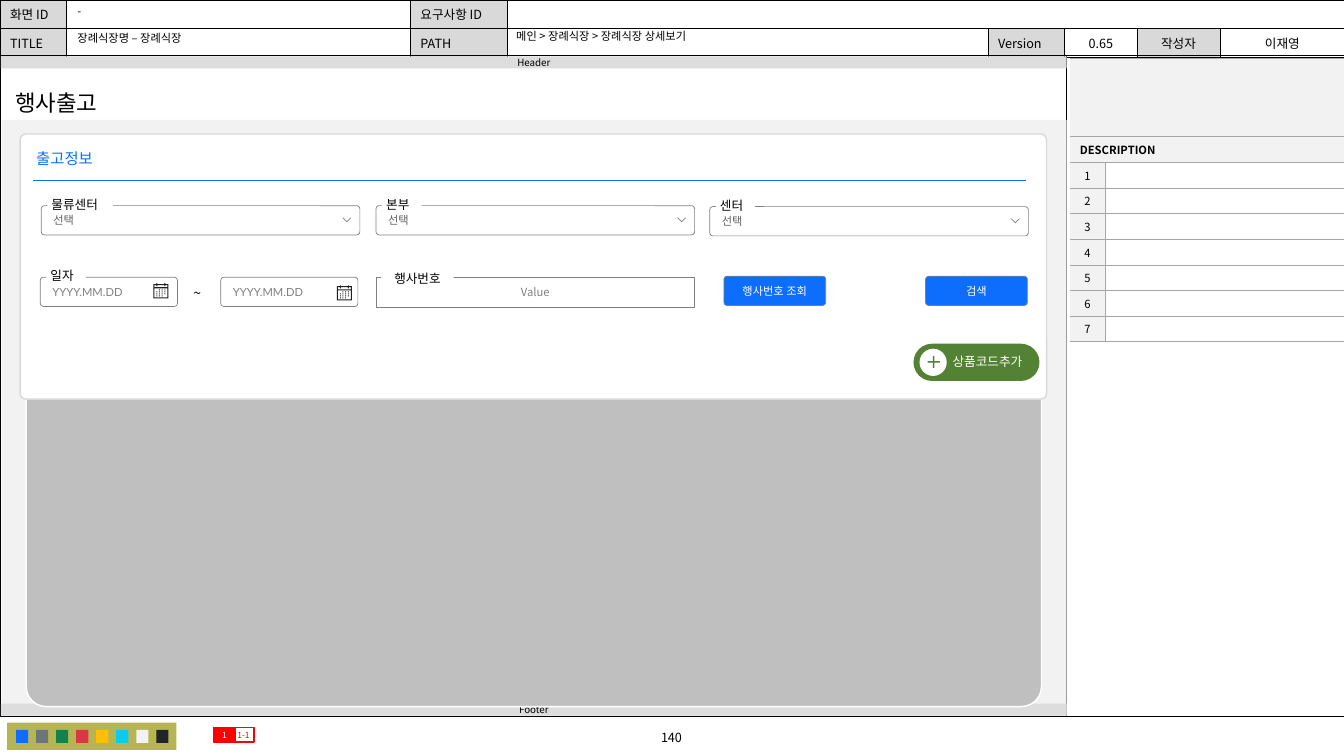
from dataclasses import dataclass

from lxml import etree
from pptx import Presentation
from pptx.dml.color import RGBColor
from pptx.enum.shapes import MSO_CONNECTOR, MSO_SHAPE
from pptx.enum.text import MSO_ANCHOR, MSO_AUTO_SIZE, PP_ALIGN
from pptx.oxml.ns import qn
from pptx.util import Inches, Pt

RECT, ROUND, OVAL = MSO_SHAPE.RECTANGLE, MSO_SHAPE.ROUNDED_RECTANGLE, MSO_SHAPE.OVAL
LEFT, CENTER = PP_ALIGN.LEFT, PP_ALIGN.CENTER
TOP, MIDDLE = MSO_ANCHOR.TOP, MSO_ANCHOR.MIDDLE
GROW, FIXED = MSO_AUTO_SIZE.SHAPE_TO_FIT_TEXT, MSO_AUTO_SIZE.NONE


@dataclass(frozen=True)
class Theme:
    font: str = "Noto Sans CJK KR"
    field_font: str = "Lato"
    black: str = "000000"
    white: str = "FFFFFF"
    blue: str = "0D6EFD"
    green: str = "548235"
    red: str = "FF0000"
    olive: str = "B7B553"
    icon: str = "1F1F1F"
    choice: str = "5F5F5F"
    outline: str = "808080"
    rule: str = "A6A6A6"
    content: str = "BFBFBF"
    head: str = "D9D9D9"
    bar: str = "DDDDDD"
    page: str = "F2F2F2"
    swatches: tuple = ("0D6EFD", "6C757D", "10834E", "DC3545",
                       "FFBE00", "0DCAF0", "F2F2F2", "212529")
    title: int = 16
    section: int = 11
    label: int = 9
    small: int = 8
    bar_text: int = 7
    tag: int = 6


T = Theme()
INSETS = (0.1, 0.05, 0.1, 0.05)


# Basic parts
def write(tf, text, size, color=T.black, font=T.font, align=LEFT, bold=False):
    p = tf.paragraphs[0]
    p.alignment = align
    r = p.add_run()
    r.text = text
    r.font.size, r.font.bold, r.font.name = Pt(size), bold, font
    r.font.color.rgb = RGBColor.from_string(color)
    etree.SubElement(r.font._element, qn("a:ea"), typeface=T.font)
    return p


def frame(tf, anchor=TOP, insets=INSETS, wrap=True, grow=False):
    tf.margin_left, tf.margin_top, tf.margin_right, tf.margin_bottom = map(Inches, insets)
    tf.vertical_anchor, tf.word_wrap = anchor, wrap
    tf.auto_size = GROW if grow else FIXED
    return tf


def paint(sp, fill=None, line=None, width=0.5):
    sp.shadow.inherit = False
    if fill:
        sp.fill.solid()
        sp.fill.fore_color.rgb = RGBColor.from_string(fill)
    else:
        sp.fill.background()
    if line:
        sp.line.color.rgb = RGBColor.from_string(line)
        sp.line.width = Pt(width)
    else:
        sp.line.fill.background()
    return sp


def shape(s, kind, box, fill=None, line=None, width=0.5, adj=None):
    sp = s.shapes.add_shape(kind, *map(Inches, box))
    if adj is not None:
        sp.adjustments[0] = adj
    return paint(sp, fill, line, width)


def textbox(s, box, text, size, color=T.black, align=LEFT, wrap=True):
    sp = s.shapes.add_textbox(*map(Inches, box))
    return write(frame(sp.text_frame, wrap=wrap), text, size, color, align=align)


def placeholder(s, idx, box, text, size, wrap=True):
    sp = s.placeholders[idx]
    sp.left, sp.top, sp.width, sp.height = map(Inches, box)
    sp.element.getparent().append(sp.element)  # bring to front
    p = sp.text_frame.paragraphs[0]
    pPr = p._p.get_or_add_pPr()
    pPr.set("marL", "0")
    pPr.set("indent", "0")
    etree.SubElement(pPr, qn("a:buNone"))
    write(frame(sp.text_frame, wrap=wrap), text, size)
    p.space_before = Pt(0)
    return p


def line(s, x1, y1, x2, y2, color):
    c = s.shapes.add_connector(MSO_CONNECTOR.STRAIGHT, *map(Inches, (x1, y1, x2, y2)))
    c.line.color.rgb = RGBColor.from_string(color)
    c.line.width = Pt(0.5)
    etree.SubElement(c.element.spPr, qn("a:effectLst"))


def outline(s, x, y, contours, fill=None, stroke=None):
    """Draw contours given in thousandths of an inch from x, y."""
    fb = s.shapes.build_freeform(*contours[0][0], scale=Inches(1) / 1000)
    for i, pts in enumerate(contours):
        if i:
            fb.move_to(*pts[0])
        fb.add_line_segments(pts[1:], close=fill is not None)
    paint(fb.convert_to_shape(Inches(x), Inches(y)), fill, stroke)


def cell_style(cell, color, sides, fill=None):
    tcPr = cell._tc.get_or_add_tcPr()
    for side in "LRTB":
        ln = etree.SubElement(tcPr, qn("a:ln" + side), w=str(Pt(0.5)))
        if side in sides:
            solid = etree.SubElement(ln, qn("a:solidFill"))
            etree.SubElement(solid, qn("a:srgbClr"), val=color)
        else:
            etree.SubElement(ln, qn("a:noFill"))
    if fill:
        cell.fill.solid()
        cell.fill.fore_color.rgb = RGBColor.from_string(fill)
    else:
        cell.fill.background()
    cell.vertical_anchor = MIDDLE


def cell_text(cell, text, size, align=LEFT, bold=False, insets=INSETS):
    cell.margin_left, cell.margin_top, cell.margin_right, cell.margin_bottom = map(Inches, insets)
    if text:
        write(cell.text_frame, text, size, align=align, bold=bold)
    else:
        etree.SubElement(cell.text_frame.paragraphs[0]._p, qn("a:endParaRPr"), sz=str(size * 100))


def table(s, x, y, cols, rows):
    t = s.shapes.add_table(len(rows), len(cols), *map(Inches, (x, y, sum(cols), sum(rows)))).table
    t.first_row = t.horz_banding = False
    for parts, sizes, name in ((t.columns, cols, "width"), (t.rows, rows, "height")):
        for part, size in zip(parts, sizes):
            setattr(part, name, Inches(size))
    return t


# Regions
def info_table(s, x, y):
    rows = (("화면 ID", "", "요구사항 ID", "", "", "", "", ""),
            ("TITLE", "", "PATH", "", "Version", "0.65", "작성자", "이재영"))
    t = table(s, x, y, (0.66, 3.41, 0.96, 4.77, 0.76, 0.72, 0.82, 1.24), (0.28, 0.28))
    for i, row in enumerate(rows):
        for j, text in enumerate(row):
            shaded = text and j in (0, 2, 4, 6)
            cell_style(t.cell(i, j), T.black, "LRTB", T.head if shaded else T.white)
            cell_text(t.cell(i, j), text, T.label, CENTER if j > 4 else LEFT)
    t.cell(0, 3).merge(t.cell(0, 7))


def description_table(s, x, y):
    t = table(s, x, y, (0.35, 2.37), [0.77, 0.26] + [1.78 / 7] * 7)
    for i in range(9):
        for j in range(2):
            head = i < 2
            sides = "TB" if head else "TBR" if j == 0 else "TBL"
            cell_style(t.cell(i, j), T.rule, sides, T.page if head or j == 0 else None)
            text = "" if j or i == 0 else "DESCRIPTION" if head else str(i - 1)
            cell_text(t.cell(i, j), text, T.small, LEFT if head else CENTER, head,
                      INSETS if head else (0, 0, 0, 0))
    for i in range(2):
        t.cell(i, 0).merge(t.cell(i, 1))


def page_frame(s, x, y, w, h):
    shape(s, RECT, (x, y, w, h), line=T.black, width=0.25)
    line(s, x + 10.58, y + 0.01, x + 10.58, y + h, T.black)
    shape(s, RECT, (x + 0.02, y + 0.64, 10.56, 5.91), T.page)
    for text, top in (("Footer", 6.43), ("Header", 0.01)):
        sp = shape(s, RECT, (x + 0.01, y + top, 10.57, 0.12), T.bar)
        write(frame(sp.text_frame, MIDDLE), text, T.bar_text, align=CENTER)


def bottom_strip(s, x, y):
    textbox(s, (x + 5.3, y + 0.02, 2.58, 0.25), "140", T.label, align=CENTER)
    shape(s, RECT, (x, y, 1.68, 0.27), T.olive)
    for i, color in enumerate(T.swatches):
        shape(s, RECT, (x + 0.09 + i * 1.39 / 7, y + 0.07, 0.12, 0.13), color)
    for text, left, fill, color in (("1-1", 2.24, None, T.red), ("1", 2.05, T.red, T.white)):
        sp = shape(s, RECT, (x + left, y + 0.05, 0.21, 0.14), fill, T.red, 1)
        write(frame(sp.text_frame, MIDDLE, (0, 0, 0, 0)), text, T.tag, color, align=CENTER)


def field(s, x, y, w, text, color, fill=T.white, align=LEFT):
    sp = shape(s, ROUND, (x, y, w, 0.29), fill, T.outline, adj=0.108)
    tf = frame(sp.text_frame, MIDDLE, (0.11, 0.07, 0.11, 0.07))
    write(tf, text, T.small, color, T.field_font, align)


def field_label(s, x, y, w, text):
    sp = shape(s, RECT, (x, y, w, 0.15), T.white)
    write(frame(sp.text_frame, insets=(0.04, 0, 0.1, 0), wrap=False, grow=True), text, T.label)


def dropdown(s, x, y, label, label_w):
    field(s, x, y, 3.16, "선택", T.choice)
    outline(s, x + 2.99, y + 0.12, [[(80, 0), (40, 40), (0, 0)]], stroke=T.outline)
    field_label(s, x + 0.06, y - 0.09, label_w, label)


def rectangle(x1, y1, x2, y2):
    return [(x1, y1), (x2, y1), (x2, y2), (x1, y2)]


def calendar(s, x, y):
    body = [(120, 10), (150, 10), (150, 150), (0, 150), (0, 10), (30, 10),
            (30, 0), (40, 0), (40, 10), (110, 10), (110, 0), (120, 0)]
    top = [(30, 20), (10, 20), (10, 40), (140, 40), (140, 20), (120, 20),
           (120, 30), (110, 30), (110, 20), (40, 20), (40, 30), (30, 30)]
    days = [rectangle(dx, dy, dx + 10, dy + 10)
            for dy in (60, 80, 100, 120) for dx in (30, 55, 82, 110)]
    # the first and last day stay empty
    outline(s, x, y, [body, top, rectangle(10, 50, 140, 140)] + days[1:-1], T.icon)


def date_range(s, x, y):
    for left, icon_left, icon_top in ((0, 1.12, 0.06), (1.79, 2.94, 0.08)):
        field(s, x + left, y, 1.36, "YYYY.MM.DD", T.outline)
        calendar(s, x + icon_left, y + icon_top)
    textbox(s, (x + 1.42, y + 0.02, 0.29, 0.27), "~", 10, wrap=False)
    field_label(s, x + 0.06, y - 0.09, 0.39, "일자")


def event_number(s, x, y):
    sp = shape(s, RECT, (x, y, 3.16, 0.3), T.white, T.outline)
    write(frame(sp.text_frame, MIDDLE), "Value", T.small, T.outline, align=CENTER)
    sp = shape(s, RECT, (x + 0.05, y - 0.06, 0.72, 0.15), T.white)
    write(frame(sp.text_frame, insets=(0, 0, 0, 0), grow=True), "행사번호", T.label, align=CENTER)


def add_button(s, x, y):
    shape(s, ROUND, (x, y, 1.25, 0.37), T.green, adj=0.5)
    shape(s, OVAL, (x + 0.06, y + 0.05, 0.27, 0.27), T.white)
    a, b, c = 53, 68, 121
    plus = [(a, 0), (a, a), (0, a), (0, b), (a, b), (a, c),
            (b, c), (b, b), (c, b), (c, a), (b, a), (b, 0)]
    outline(s, x + 0.14, y + 0.12, [plus], T.green)
    textbox(s, (x + 0.29, y + 0.05, 0.96, 0.25), "상품코드추가", T.label, T.white, wrap=False)


def release_card(s, x, y, w, h):
    shape(s, ROUND, (x, y, w, h), T.white, T.head, 1, 0.021)
    textbox(s, (x + 0.06, y + 0.1, 0.82, 0.29), "출고정보", T.section, T.blue, wrap=False)
    line(s, x + 0.13, y + 0.46, x + 9.98, y + 0.46, T.blue)
    for text, left in (("행사번호 조회", 6.98), ("검색", 8.98)):
        field(s, x + left, y + 1.41, 1.01, text, T.white, T.blue, CENTER)
    add_button(s, x + 8.86, y + 2.08)
    date_range(s, x + 0.2, y + 1.42)
    for label, left, top, label_w in (("물류센터", 0.21, 0.71, 0.65),
                                      ("본부", 3.53, 0.71, 0.39), ("센터", 6.84, 0.72, 0.39)):
        dropdown(s, x + left, y + top, label, label_w)
    event_number(s, x + 3.53, y + 1.42)


def main():
    prs = Presentation()
    prs.slide_width, prs.slide_height = Inches(13.33), Inches(7.5)
    s = prs.slides.add_slide(prs.slide_layouts[1])
    info_table(s, 0, 0)
    page_frame(s, 0, 0.55, 13.33, 6.56)
    bottom_strip(s, 0.07, 7.17)
    shape(s, ROUND, (0.26, 1.74, 10.07, 5.27), T.content, T.white, 1, 0.038)
    description_table(s, 10.61, 0.58)
    # Values of the information table
    for p in (placeholder(s, 1, (5.02, 0.26, 4.74, 0.23), "메인 > 장례식장 > 장례식장 상세보기", T.small),
              textbox(s, (0.67, 0.01, 3.4, 0.23), "-", T.small),
              textbox(s, (0.67, 0.28, 3.38, 0.2), "장례식장명 – 장례식장", T.small)):
        p.line_spacing = 0.9
    placeholder(s, 0, (0.05, 0.83, 1.1, 0.37), "행사출고", T.title, wrap=False)
    release_card(s, 0.2, 1.33, 10.18, 2.63)
    prs.save("out.pptx")


if __name__ == "__main__":
    main()
